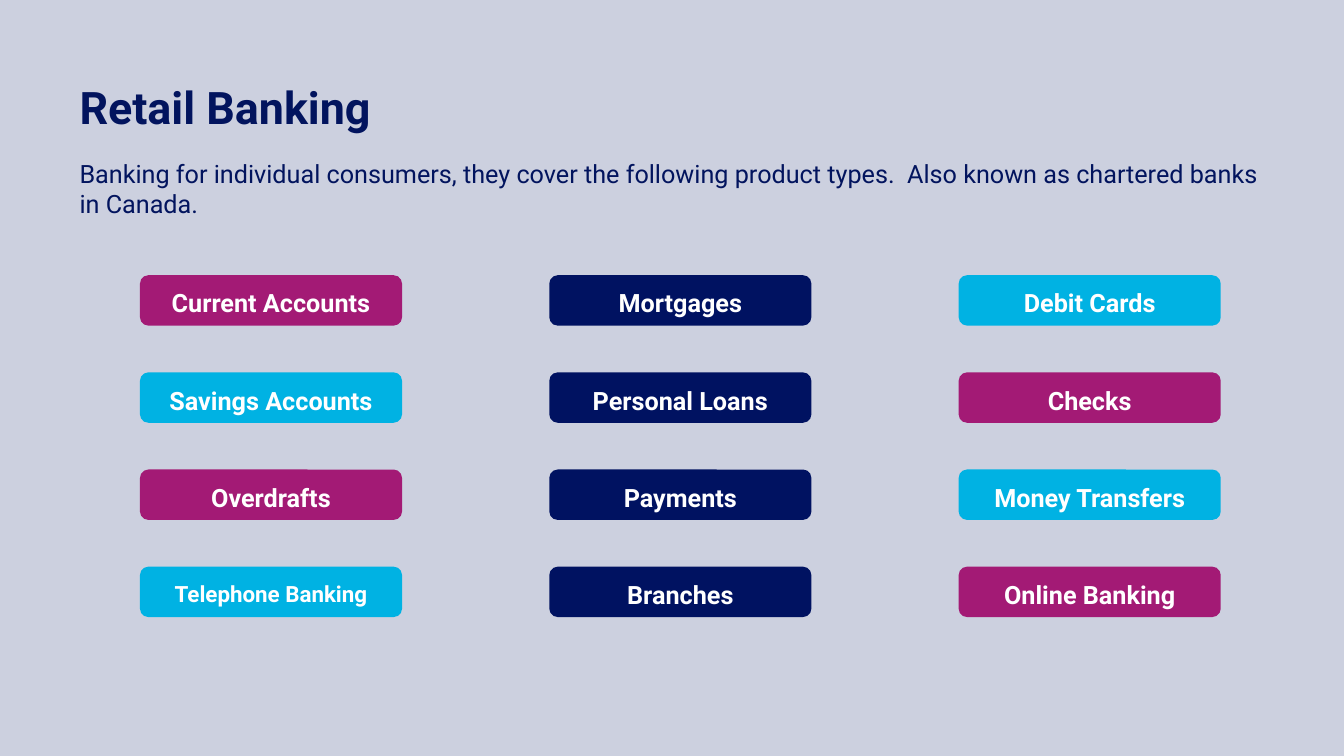
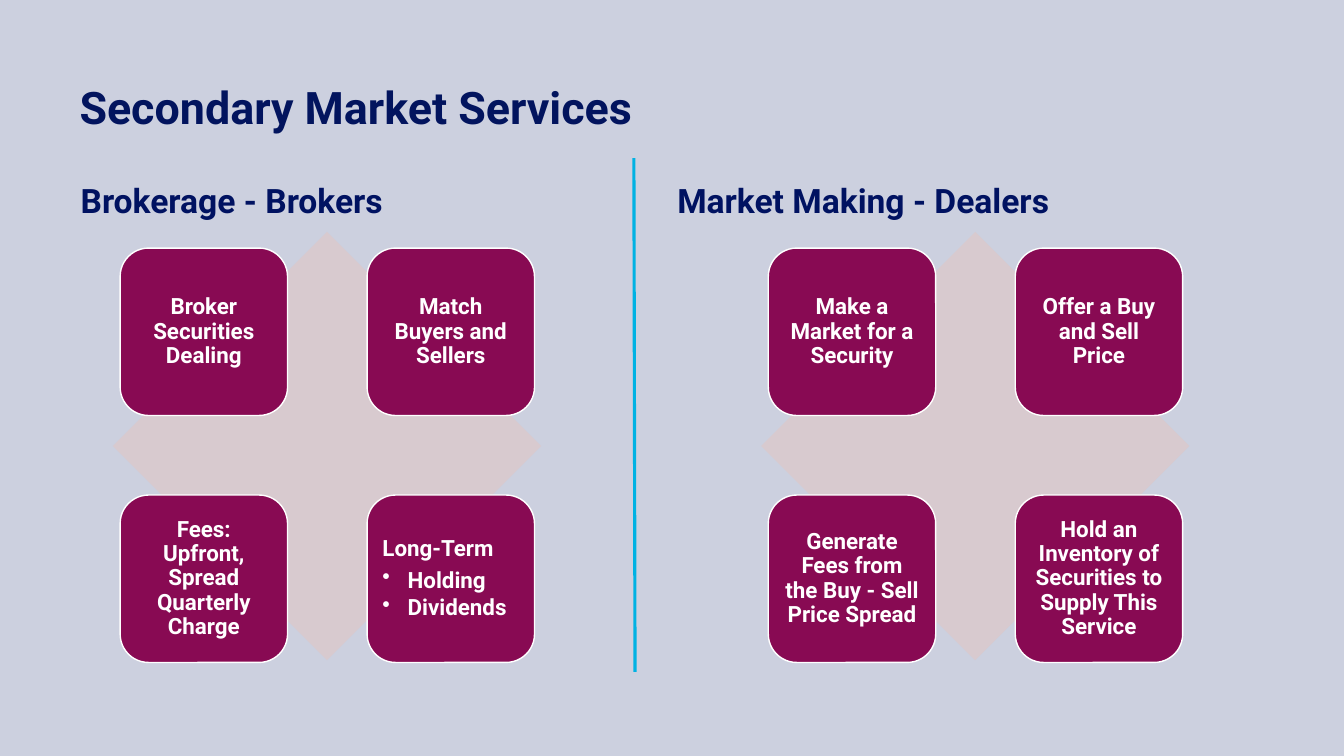
import pptx
import pptx.dml.color
import pptx.enum.shapes
import pptx.enum.text
import pptx.oxml
import pptx.oxml.ns
import pptx.util

# Grid of square cells: 48 columns by 27 rows
CELL = pptx.util.Emu(254000)
COLS, ROWS = 48, 27

NAVY, DEEP, PLUM, SKY = "02145E", "001261", "A31A75", "00B2E3"
WINE, ROSE, WHITE, MIST = "880A53", "D8CACF", "FFFFFF", "CCD0DF"
FACE = "Roboto"

KIND = pptx.enum.shapes.MSO_SHAPE
ALIGN = pptx.enum.text.PP_ALIGN
MID = pptx.enum.text.MSO_ANCHOR.MIDDLE
TOP = pptx.enum.text.MSO_ANCHOR.TOP

EDGE = 2.84  # left margin in columns
CENTER = {"alignment": ALIGN.CENTER}
TIGHT = {"line_spacing": 0.9}

PRODUCTS = [
    [("Current Accounts", PLUM), ("Mortgages", DEEP), ("Debit Cards", SKY)],
    [("Savings Accounts", SKY), ("Personal Loans", DEEP), ("Checks", PLUM)],
    [("Overdrafts", PLUM), ("Payments", DEEP), ("Money Transfers", SKY)],
    [("Telephone Banking", SKY), ("Branches", DEEP), ("Online Banking", PLUM)],
]
BROKERS = [
    ["Broker Securities Dealing"],
    ["Match Buyers and Sellers"],
    ["Fees:", "Upfront, Spread", "Quarterly Charge"],
    None,  # the bulleted tile is filled in on its own
]
DEALERS = [
    ["Make a Market for a Security"],
    ["Offer a Buy and Sell Price"],
    ["Generate Fees from the Buy - Sell Price Spread"],
    ["Hold an Inventory of Securities to Supply This Service"],
]


def hue(code):
    return pptx.dml.color.RGBColor.from_string(code)


def span(*cells):
    return [int(n * CELL) for n in cells]


def apply(item, form):
    for name, value in form.items():
        setattr(item, name, value)


def frame(shape, anchor=TOP, pads=(0, 0, 0, 0)):
    """Set wrap, anchor and insets (left, top, right, bottom in inches)."""
    box = shape.text_frame
    sides = ("margin_left", "margin_top", "margin_right", "margin_bottom")
    form = {side: pptx.util.Inches(pad) for side, pad in zip(sides, pads)}
    form.update(word_wrap=True, vertical_anchor=anchor,
                auto_size=pptx.enum.text.MSO_AUTO_SIZE.NONE)
    apply(box, form)
    return box


def dot(para):
    """Give a paragraph a hanging white bullet."""
    props = para._p.get_or_add_pPr()
    indent = pptx.util.Inches(0.25)
    props.set("marL", str(indent))
    props.set("indent", str(-indent))
    space = pptx.oxml.ns.nsdecls("a")
    for mark in (f'<a:buClr {space}><a:srgbClr val="{WHITE}"/></a:buClr>',
                 f'<a:buChar {space} char="•"/>'):
        props.append(pptx.oxml.parse_xml(mark))


def write(box, lines, size, color, bold=True, form=CENTER):
    """Write one paragraph a line; a line may be (text, space before)."""
    for num, line in enumerate(lines):
        para = box.paragraphs[0] if num == 0 else box.add_paragraph()
        text, gap = line if isinstance(line, tuple) else (line, None)
        if gap:
            dot(para)
            para.space_before = pptx.util.Pt(gap)
        apply(para, form)
        run = para.add_run()
        run.text = text
        apply(run.font, {"name": FACE, "size": pptx.util.Pt(size), "bold": bold})
        run.font.color.rgb = hue(color)


def shape(slide, kind, place, fill, edge=None):
    item = slide.shapes.add_shape(kind, *span(*place))
    item.shadow.inherit = False
    item.fill.solid()
    item.fill.fore_color.rgb = hue(fill)
    if edge:
        item.line.color.rgb = hue(edge)
        item.line.width = pptx.util.Pt(1)
    else:
        item.line.fill.background()
    return item


def label(slide, place, text, size, color, bold=True):
    item = slide.shapes.add_textbox(*span(*place))
    write(frame(item), [text], size, color, bold, {"alignment": ALIGN.LEFT})


def page(deck, text):
    """Add a slide with the shared title style."""
    slide = deck.slides.add_slide(deck.slide_layouts[5])
    title = slide.shapes.title
    sides = ("left", "top", "width", "height")
    apply(title, dict(zip(sides, span(EDGE, EDGE, 31.4, 3.56))))
    write(frame(title), [text], 32, NAVY, form={"alignment": ALIGN.LEFT})
    return slide


def button(slide, col, row, text, fill):
    place = (5 + 14.62 * col, 9.83 + 3.47 * row, 9.36, 1.8)
    item = shape(slide, KIND.ROUNDED_RECTANGLE, place, fill)
    size = 16 if text == "Telephone Banking" else 18
    write(frame(item, MID, (0.16, 0.16, 0.16, 0.2)), [text], size, WHITE,
          form={**CENTER, "line_spacing": 1.3})


def matrix(slide, left, tiles):
    """Draw a diamond with four tiles and return their text frames."""
    top = 8.28
    shape(slide, KIND.DIAMOND, (left, top, 15.3, 15.3), ROSE)
    boxes = []
    for num, lines in enumerate(tiles):
        row, col = divmod(num, 2)
        place = (left + 0.26 + 8.82 * col, top + 0.58 + 8.82 * row, 5.98, 5.98)
        item = shape(slide, KIND.ROUNDED_RECTANGLE, place, WINE, WHITE)
        item.adjustments[0] = 0.17
        box = frame(item, MID, (0.07,) * 4)
        write(box, lines or [], 16, WHITE, form={**CENTER, **TIGHT})
        boxes.append(box)
    return boxes


def rule(slide, start, end):
    kind = pptx.enum.shapes.MSO_CONNECTOR.STRAIGHT
    line = slide.shapes.add_connector(kind, *span(*start, *end))
    line.line.color.rgb = hue(SKY)
    line.line.width = pptx.util.Pt(2.25)
    props = line._element.spPr
    props.append(props.makeelement(pptx.oxml.ns.qn("a:effectLst"), {}))


def retail(deck):
    slide = page(deck, "Retail Banking")
    label(slide, (EDGE, 5.65, 42.34, 3),
          "Banking for individual consumers, they cover the following product "
          "types.  Also known as chartered banks in Canada.", 18, NAVY, False)
    for row, items in enumerate(PRODUCTS):
        for col, (text, fill) in enumerate(items):
            button(slide, col, row, text, fill)


def market(deck):
    slide = page(deck, "Secondary Market Services")
    heads = ((2.88, "Brokerage - Brokers"), (24.19, "Market Making - Dealers"))
    for left, text in heads:
        label(slide, (left, 6.41, 19.8, 3.56), text, 24, DEEP)
    rule(slide, (22.64, 5.65), (22.68, 24))
    boxes = matrix(slide, 4.03, BROKERS)
    write(boxes[3], ["Long-Term", ("Holding", 5.6), ("Dividends", 2.4)], 16,
          WHITE, form={"alignment": ALIGN.LEFT, **TIGHT})
    matrix(slide, 27.18, DEALERS)


def main():
    deck = pptx.Presentation()
    deck.slide_width, deck.slide_height = span(COLS, ROWS)
    # Shared background
    fill = deck.slide_master.background.fill
    fill.solid()
    fill.fore_color.rgb = hue(MIST)
    retail(deck)
    market(deck)
    deck.save("out.pptx")


if __name__ == "__main__":
    main()
